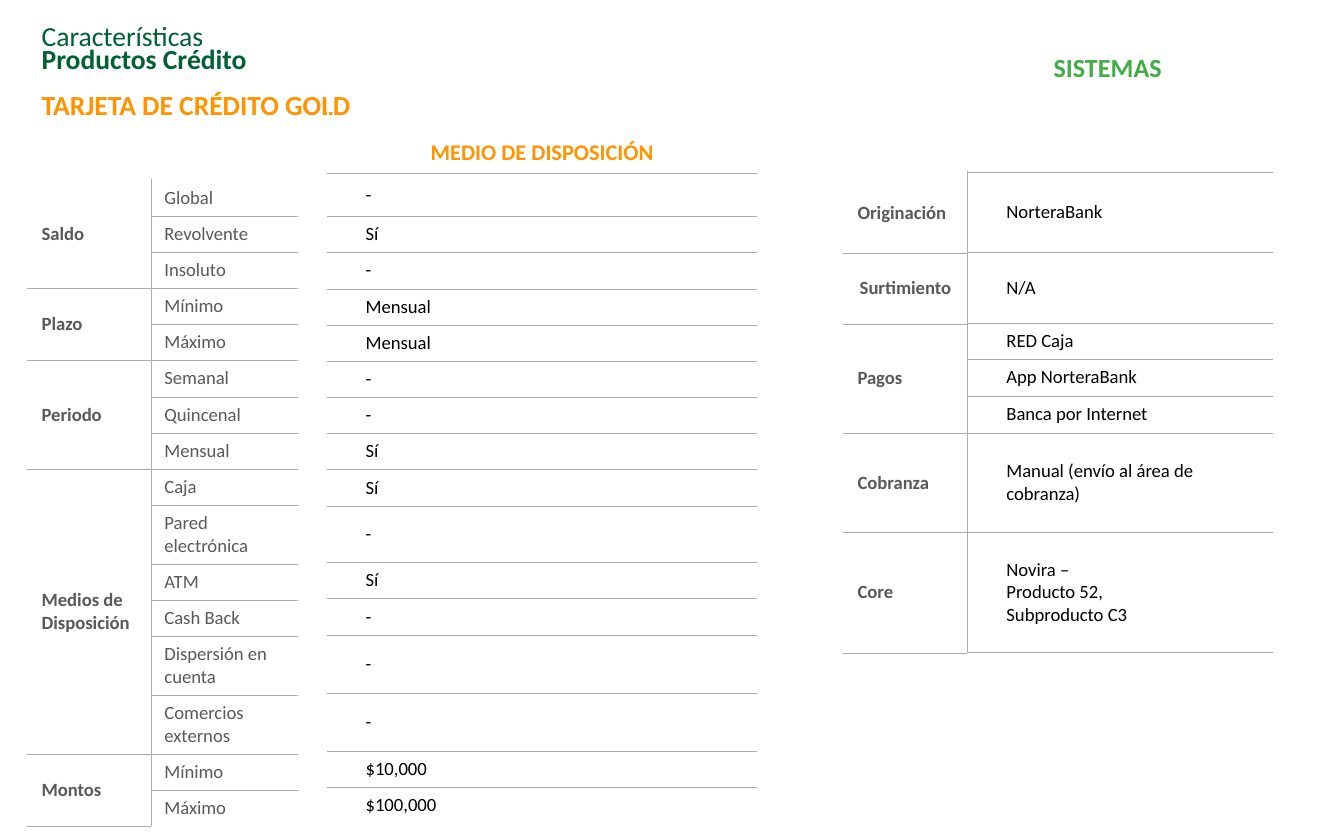
from lxml.etree import SubElement
from pptx import Presentation
from pptx.dml.color import RGBColor
from pptx.enum.text import MSO_ANCHOR, MSO_AUTO_SIZE, PP_ALIGN
from pptx.oxml.ns import qn
from pptx.util import Pt

FONT = "Calibri"
WHITE, RULE, GRAY, BLACK = "FFFFFF", "AFABAB", "595959", "000000"
ORANGE, DARK_GREEN, GREEN = "FF9300", "006135", "42AC47"
SINGLE, DOUBLE = 19.4, 31.3
VALUE_INDENT = 20.2

FEATURES = [
    ("Saldo", ["Global", "Revolvente", "Insoluto"]),
    ("Plazo", ["Mínimo", "Máximo"]),
    ("Periodo", ["Semanal", "Quincenal", "Mensual"]),
    ("Medios de Disposición", ["Caja", "Pared electrónica", "ATM", "Cash Back",
                               "Dispersión en cuenta", "Comercios externos"]),
    ("Montos", ["Mínimo", "Máximo"]),
]
TWO_LINE_FEATURES = {"Pared electrónica", "Dispersión en cuenta", "Comercios externos"}
GOLD_VALUES = ["-", "Sí", "-", "Mensual", "Mensual", "-", "-", "Sí", "Sí", "-",
               "Sí", "-", "-", "-", "$10,000", "$100,000"]
GOLD_HEIGHTS = [23] + [SINGLE] * 8 + [30.3] + [SINGLE] * 2 + [31.1] * 2 + [SINGLE] * 2
SYSTEM_LABELS = [("Originación", 43.4), ("Surtimiento", 38), ("Pagos", 58.5),
                 ("Cobranza", 53), ("Core", 64.7)]
SYSTEM_VALUES = [("NorteraBank", 43), ("N/A", 38), ("RED Caja", SINGLE),
                 ("App NorteraBank", SINGLE), ("Banca por Internet", 20.2),
                 ("Manual (envío al área de cobranza)", 53),
                 ("Novira –\nProducto 52,\nSubproducto C3", 64.3)]


def color(value):
    """Turn a hex string into a colour."""
    return RGBColor.from_string(value)


def format_paragraph(paragraph, size, hue, bold=False, align=PP_ALIGN.LEFT):
    """Set the font and alignment of a paragraph."""
    paragraph.alignment = align
    font = paragraph.font
    font.name, font.size, font.bold = FONT, Pt(size), bold
    font.color.rgb = color(hue)


def set_borders(cell, ruled):
    """Draw the ruled sides of a cell in gray and the others in white."""
    properties = cell._tc.get_or_add_tcPr()
    for side in "LRTB":
        width = Pt(0.25) if side in ruled else Pt(1)
        line = SubElement(properties, qn(f"a:ln{side}"), w=str(width))
        fill = SubElement(line, qn("a:solidFill"))
        SubElement(fill, qn("a:srgbClr"), val=RULE if side in ruled else WHITE)
    cell.fill.background()


def fill_cell(cell, text, hue, bold=False, size=10, indent=7.2,
              align=PP_ALIGN.LEFT, anchor=MSO_ANCHOR.MIDDLE):
    """Write formatted text into a cell."""
    cell.text_frame.text = text
    cell.vertical_anchor = anchor
    cell.margin_left, cell.margin_right = Pt(indent), Pt(7.2)
    cell.margin_top = cell.margin_bottom = Pt(3.6)
    for paragraph in cell.text_frame.paragraphs:
        format_paragraph(paragraph, size, hue, bold, align)


def add_grid(slide, left, top, widths, heights, upright="", closed=False):
    """Add a table with horizontal rules and one upright rule per column."""
    frame = slide.shapes.add_table(len(heights), len(widths), Pt(left), Pt(top),
                                   Pt(sum(widths)), Pt(sum(heights)))
    grid = frame.table
    grid.first_row = grid.horz_banding = False
    for column, width in zip(grid.columns, widths):
        column.width = Pt(width)
    last = len(heights) - 1
    for index, height in enumerate(heights):
        grid.rows[index].height = Pt(height)
        rules = ("T" if index else "") + ("B" if index < last or closed else "")
        for column in range(len(widths)):
            set_borders(grid.cell(index, column), rules + upright[column:column + 1])
    return grid


def add_features(slide):
    """Add the grouped list of product features."""
    features = [feature for _, members in FEATURES for feature in members]
    heights = [DOUBLE if feature in TWO_LINE_FEATURES else SINGLE for feature in features]
    grid = add_grid(slide, 15.1, 96.2, [65.8, 78.5], heights, upright="RL")
    for row, feature in enumerate(features):
        fill_cell(grid.cell(row, 1), feature, GRAY)
    start = 0
    for group, members in FEATURES:
        end = start + len(members) - 1
        grid.cell(start, 0).merge(grid.cell(end, 0))
        fill_cell(grid.cell(start, 0), group, GRAY, bold=True)
        start = end + 1


def add_values(slide, left, top, width, heading, values, heights, closed=False):
    """Add a column of values under a heading row."""
    grid = add_grid(slide, left, top, [width], [69.1, *heights], closed=closed)
    if heading:
        fill_cell(grid.cell(0, 0), heading, ORANGE, True, 12,
                  align=PP_ALIGN.CENTER, anchor=MSO_ANCHOR.BOTTOM)
    for row, value in enumerate(values, start=1):
        fill_cell(grid.cell(row, 0), value, BLACK, indent=VALUE_INDENT)


def add_system_labels(slide):
    """Add the column that names each process."""
    labels, heights = zip(*SYSTEM_LABELS)
    grid = add_grid(slide, 452.2, 92.2, [65.7], heights, upright="R", closed=True)
    for row, label in enumerate(labels):
        align = PP_ALIGN.CENTER if label == "Surtimiento" else PP_ALIGN.LEFT
        fill_cell(grid.cell(row, 0), label, GRAY, bold=True, align=align)


def set_title(slide):
    """Write the three-line title in its placeholder."""
    title = slide.shapes.title
    title.left, title.top, title.width, title.height = Pt(15.1), Pt(9.4), Pt(576), Pt(60.5)
    frame = title.text_frame
    frame.text = "Características\nProductos Crédito\nTARJETA DE CRÉDITO GOLD"
    frame.word_wrap = True
    frame.auto_size = MSO_AUTO_SIZE.NONE
    frame.vertical_anchor = MSO_ANCHOR.MIDDLE
    looks = [(DARK_GREEN, False), (DARK_GREEN, True), (ORANGE, True)]
    for paragraph, (hue, bold) in zip(frame.paragraphs, looks):
        format_paragraph(paragraph, 14.8, hue, bold)
        paragraph.line_spacing = 0.7
        paragraph.space_before = Pt(0)
    frame.paragraphs[-1].space_before = Pt(12.5)


def add_systems_heading(slide):
    """Add the heading above the systems columns."""
    heading = slide.shapes.add_textbox(Pt(557.3), Pt(23.8), Pt(73.4), Pt(24.3))
    frame = heading.text_frame
    frame.text = "SISTEMAS"
    frame.word_wrap = False
    frame.auto_size = MSO_AUTO_SIZE.SHAPE_TO_FIT_TEXT
    format_paragraph(frame.paragraphs[0], 14, GREEN, True)


def main():
    """Build and save the slide."""
    deck = Presentation()
    deck.slide_width, deck.slide_height = Pt(720), Pt(450)
    slide = deck.slides.add_slide(deck.slide_layouts[5])
    set_title(slide)
    add_values(slide, 175.7, 23.8, 229.5, "MEDIO DE DISPOSICIÓN", GOLD_VALUES, GOLD_HEIGHTS)
    add_features(slide)
    add_systems_heading(slide)
    add_system_labels(slide)
    systems, heights = zip(*SYSTEM_VALUES)
    add_values(slide, 519, 23.2, 162.4, "", systems, heights, closed=True)
    deck.save("out.pptx")


if __name__ == "__main__":
    main()
